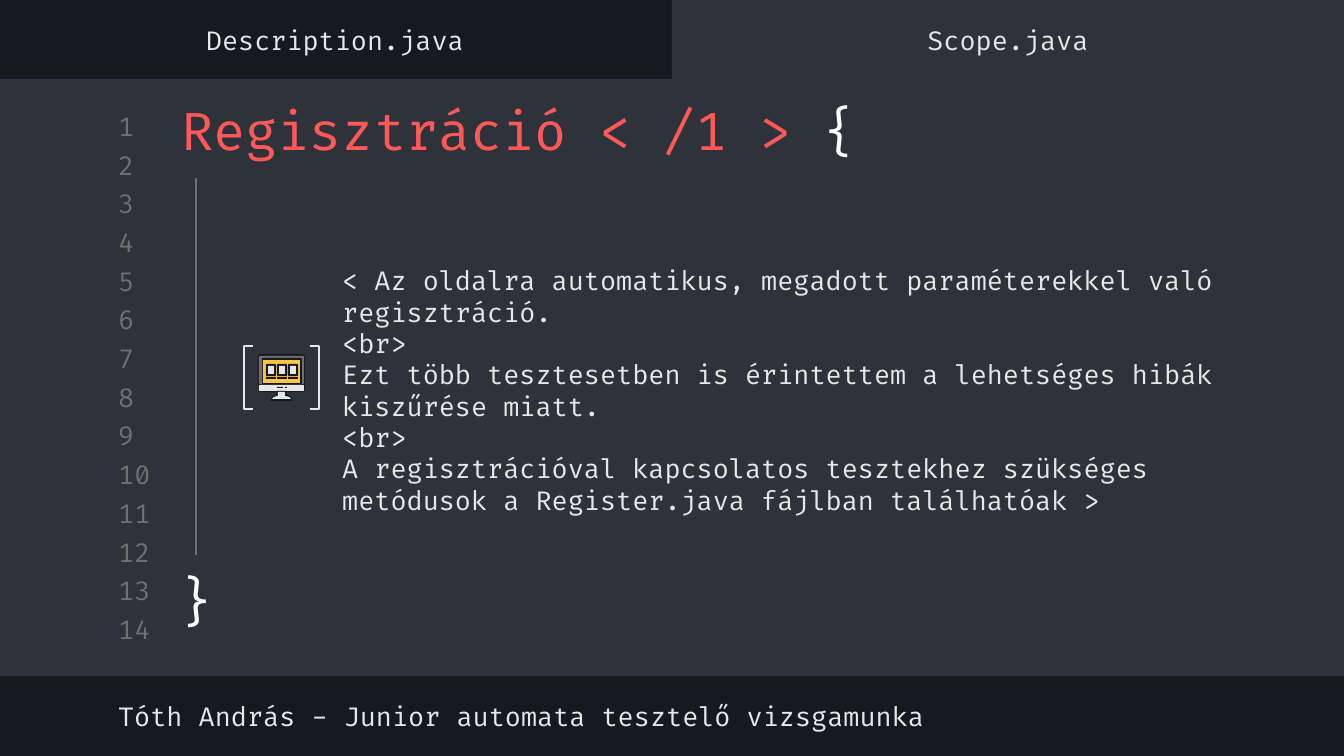
import pptx
import pptx.util
from pptx.dml.color import RGBColor
from pptx.enum.shapes import MSO_CONNECTOR, MSO_SHAPE
from pptx.enum.text import MSO_ANCHOR, PP_ALIGN
from pptx.oxml.ns import qn
from lxml import etree

TABS = ["Description.java", "Scope.java"]
TITLE = [("Regisztráció < /1 > ", "accent"), ("{", "white")]
CLOSING = "}"
BODY = [
    "< Az oldalra automatikus, megadott paraméterekkel való regisztráció.",
    "<br>",
    "Ezt több tesztesetben is érintettem a lehetséges hibák kiszűrése miatt.",
    "<br>",
    "A regisztrációval kapcsolatos tesztekhez szükséges metódusok a "
    "Register.java fájlban találhatóak >",
]
FOOTER = "Tóth András - Junior automata tesztelő vizsgamunka"
LINE_COUNT = 14

THEME = {
    "font": "Fira Code", "text_size": 14, "title_size": 28, "line_width": 0.75,
    "dark": "16191F", "panel": "2E323B", "muted": "707070", "light": "E7E7E7",
    "accent": "FF5858", "white": "FFFFFF", "yellow": "FCC642",
}

PX = 914400 / 134.4
WIDTH, HEIGHT = 1344, 756
MARGIN = 105
FIRST_NUMBER, LAST_NUMBER = 110, 613

# Monitor icon: left, top, width, height, colour, corner radius
MONITOR = [
    (258, 354, 47, 38, "dark", 3),
    (259, 356, 45, 28, "muted", 1),
    (262, 358, 40, 26, "dark", 1),
    (263, 360, 37, 23, "yellow", 0),
    (259, 385, 45, 6, "light", 1),
    (277, 387, 6, 1, "dark", 0),
    (285, 387, 2, 1, "dark", 0),
]
# One app window on the screen, placed from the window's left edge
APP_WINDOW = [
    (0, 364, 10, 12, "dark", 1),
    (2, 366, 6, 8, "light", 0),
    (0, 377, 10, 2, "dark", 0),
]
WINDOW_LEFT, WINDOW_PITCH, WINDOW_COUNT = 266, 11, 3
STAND = [
    ("dark", [(277, 391), (286, 391), (287, 395), (291, 397), (293, 401),
              (270, 401), (272, 397), (276, 395)]),
    ("light", [(278, 392), (285, 392), (285, 396), (289, 397), (291, 399),
               (272, 399), (274, 397), (278, 396)]),
]


def emu(px):
    return pptx.util.Emu(round(px * PX))


def color(name):
    return RGBColor.from_string(THEME[name])


def paint(shape, fill):
    shape.shadow.inherit = False
    shape.fill.solid()
    shape.fill.fore_color.rgb = color(fill)
    shape.line.fill.background()


def add_block(slide, left, top, width, height, fill, radius=0):
    kind = MSO_SHAPE.ROUNDED_RECTANGLE if radius else MSO_SHAPE.RECTANGLE
    block = slide.shapes.add_shape(kind, *map(emu, (left, top, width, height)))
    if radius:
        block.adjustments[0] = radius / min(width, height)
    paint(block, fill)


def add_text(slide, box, paragraphs, size="text_size", align=PP_ALIGN.LEFT,
             anchor=MSO_ANCHOR.MIDDLE):
    """Add a text box; each paragraph is a list of (text, colour) runs."""
    frame = slide.shapes.add_textbox(*map(emu, box)).text_frame
    frame.word_wrap = True
    frame.vertical_anchor = anchor
    frame.margin_left = frame.margin_right = pptx.util.Inches(0.1)
    frame.margin_top = frame.margin_bottom = pptx.util.Inches(0.1)
    for index, runs in enumerate(paragraphs):
        paragraph = frame.add_paragraph() if index else frame.paragraphs[0]
        paragraph.alignment = align
        for words, tint in runs:
            run = paragraph.add_run()
            run.text = words
            run.font.name = THEME["font"]
            run.font.size = pptx.util.Pt(THEME[size])
            run.font.color.rgb = color(tint)


def add_editor(slide):
    add_block(slide, 0, 79, WIDTH, 597, "panel")
    add_block(slide, WIDTH // 2, 0, WIDTH // 2, 87, "panel")
    pitch = (LAST_NUMBER - FIRST_NUMBER) / (LINE_COUNT - 1)
    for row in range(LINE_COUNT):
        add_text(slide, (MARGIN, FIRST_NUMBER + row * pitch, 63, 32),
                 [[(str(row + 1), "muted")]])
    for column, tab in enumerate(TABS):
        add_text(slide, (column * WIDTH / 2 - (1 - column), 14, WIDTH / 2, 52),
                 [[(tab, "light")]], align=PP_ALIGN.CENTER)


def add_icon(slide):
    for part in MONITOR:
        add_block(slide, *part)
    for index in range(WINDOW_COUNT):
        for offset, *rest in APP_WINDOW:
            add_block(slide, WINDOW_LEFT + index * WINDOW_PITCH + offset, *rest)
    for fill, (start, *others) in STAND:
        outline = slide.shapes.build_freeform(*start, scale=PX)
        outline.add_line_segments(others, close=True)
        paint(outline.convert_to_shape(), fill)
    for kind, left in ((MSO_SHAPE.LEFT_BRACKET, 244), (MSO_SHAPE.RIGHT_BRACKET, 310)):
        bracket = slide.shapes.add_shape(kind, *map(emu, (left, 346, 9, 63)))
        bracket.adjustments[0] = 0
        bracket.shadow.inherit = False
        bracket.fill.background()
        bracket.line.color.rgb = color("light")
        bracket.line.width = pptx.util.Pt(THEME["line_width"])


def add_code(slide):
    add_text(slide, (168, 91, 731, 78), [TITLE], "title_size")
    add_text(slide, (329, 169, 964, 442), [[(line, "light")] for line in BODY])
    guide = slide.shapes.add_connector(
        MSO_CONNECTOR.STRAIGHT, *map(emu, (196, 178, 196, 555)))
    guide.line.color.rgb = color("muted")
    guide.line.width = pptx.util.Pt(THEME["line_width"])
    etree.SubElement(guide.line._get_or_add_ln().getparent(), qn("a:effectLst"))
    add_text(slide, (160, 555, 74, 90), [[(CLOSING, "white")]], "title_size",
             PP_ALIGN.CENTER, MSO_ANCHOR.TOP)
    add_text(slide, (MARGIN, 690, 1093, 52), [[(FOOTER, "light")]])


def main():
    deck = pptx.Presentation()
    deck.slide_width, deck.slide_height = emu(WIDTH), emu(HEIGHT)
    slide = deck.slides.add_slide(deck.slide_layouts[6])
    slide.background.fill.solid()
    slide.background.fill.fore_color.rgb = color("dark")
    add_editor(slide)
    add_icon(slide)
    add_code(slide)
    deck.save("out.pptx")


if __name__ == "__main__":
    main()
